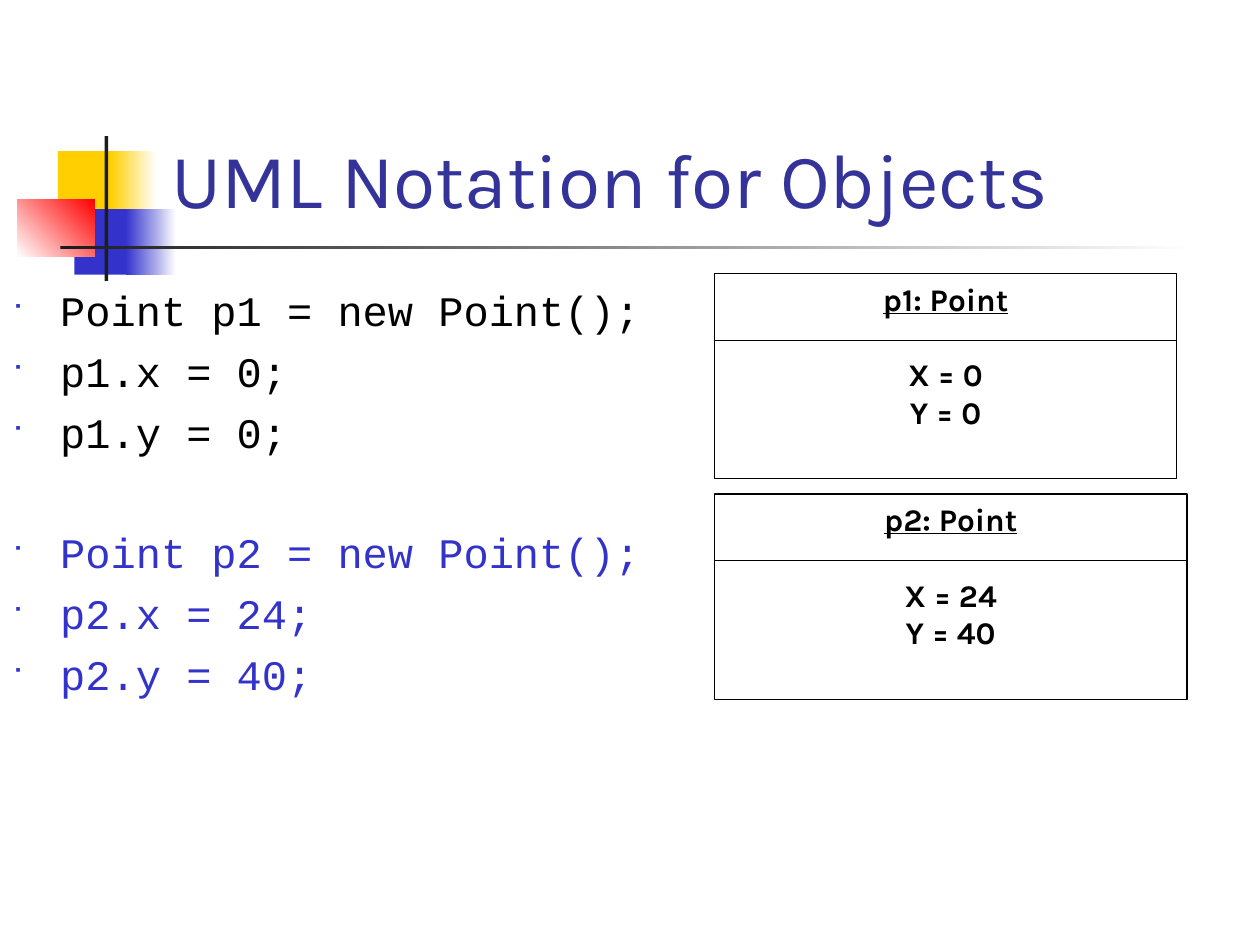
from lxml import etree
from pptx import Presentation
from pptx import util as u
from pptx.dml.color import RGBColor
from pptx.enum import shapes, text
from pptx.oxml import ns

COLUMNS, ROWS = 100, 75  # square grid cells over the whole slide
BLUE, BLACK, WHITE, DARK = "3333CC", "000000", "FFFFFF", "1C1C1C"
YELLOW, RED, TITLE_BLUE = "FFCF01", "FF0000", "333399"

deck = Presentation()
deck.slide_width, deck.slide_height = u.Inches(10), u.Inches(7.5)


def color(value):
    return RGBColor.from_string(value)


def cells(left, top, width, height):
    """Turn grid columns and rows into slide lengths."""
    column, row = deck.slide_width / COLUMNS, deck.slide_height / ROWS
    return [round(n) for n in (left * column, top * row, width * column, height * row)]


def apply(target, values):
    for name, value in values.items():
        setattr(target, name, value)


def write(para, words, font, para_format):
    """Put one formatted run in a paragraph."""
    apply(para, para_format)
    span = para.add_run()
    span.text = words
    font = dict(font)
    span.font.color.rgb = color(font.pop("color"))
    apply(span.font, font)


def paragraphs(frame, count):
    return [frame.paragraphs[0]] + [frame.add_paragraph() for _ in range(count - 1)]


def add_block(page, box, fill, angle=0):
    """Add a rectangle with one fill colour, or a pair of gradient colours."""
    block = page.shapes.add_shape(shapes.MSO_SHAPE.RECTANGLE, *cells(*box))
    block.shadow.inherit = False
    block.line.fill.background()
    if isinstance(fill, str):
        block.fill.solid()
        block.fill.fore_color.rgb = color(fill)
    else:
        block.fill.gradient()
        block.fill.gradient_angle = angle
        for stop, shade, position in zip(block.fill.gradient_stops, fill, (0, 1)):
            stop.color.rgb = color(shade)
            stop.position = position
    return block


def add_motif(page, box):
    """Coloured squares with a vertical bar and a fading rule."""
    left, top, width, height = box
    parts = [
        ((3.2, 1.2, 4.8, 5.2), YELLOW, 0),
        ((7.4, 1.2, 3.6, 5.2), (YELLOW, WHITE), 0),
        ((4.5, 5.8, 4.6, 5.2), BLUE, 0),
        ((8.6, 5.8, 4, 5.2), (BLUE, WHITE), 0),
        ((0, 5, 6.1, 4.6), (WHITE, RED), 45),
        ((6.9, 0, 0.3, height), DARK, 0),
        ((3.4, 8.7, width - 3.4, 0.3), (DARK, WHITE), 0),
    ]
    for (x, y, w, h), fill, angle in parts:
        add_block(page, (left + x, top + y, w, h), fill, angle)


def add_title(page, box, words):
    title = page.shapes.title
    apply(title, dict(zip(("left", "top", "width", "height"), cells(*box))))
    apply(title.text_frame, {"vertical_anchor": text.MSO_ANCHOR.BOTTOM, "word_wrap": True})
    write(title.text_frame.paragraphs[0], words,
          {"name": "Karla", "size": u.Pt(44), "color": TITLE_BLUE},
          {"alignment": text.PP_ALIGN.LEFT})


def add_bullet(para):
    """Give a paragraph a small square bullet and a hanging indent."""
    properties = para._p.get_or_add_pPr()
    indent = u.Inches(0.38)
    properties.set("marL", str(indent))
    properties.set("indent", str(-indent))
    bullet_color = etree.SubElement(properties, ns.qn("a:buClr"))
    etree.SubElement(bullet_color, ns.qn("a:srgbClr"), val=BLUE)
    etree.SubElement(properties, ns.qn("a:buSzPct"), val="60000")
    etree.SubElement(properties, ns.qn("a:buFont"), typeface="Wingdings")
    etree.SubElement(properties, ns.qn("a:buChar"), char="■")


def add_code(page, box, groups):
    """Bulleted code lines; each later group stands one line lower."""
    frame = page.shapes.add_textbox(*cells(*box)).text_frame
    frame.word_wrap = True
    lines = [(line, shade, number > 0 and row == 0)
             for number, (shade, group) in enumerate(groups)
             for row, line in enumerate(group)]
    for para, (line, shade, starts_group) in zip(paragraphs(frame, len(lines)), lines):
        write(para, line, {"name": "Courier New", "size": u.Pt(24), "color": shade},
              {"space_before": u.Pt(39.7 if starts_group else 6)})
        add_bullet(para)


def add_object(page, box, name, fields):
    """UML object: underlined name, divider and field values."""
    left, top, width, height = box
    card = add_block(page, box, WHITE)
    card.line.color.rgb = color(BLACK)
    card.line.width = u.Pt(0.75)
    apply(card.text_frame, {"vertical_anchor": text.MSO_ANCHOR.TOP, "word_wrap": True})
    for row, (para, words) in enumerate(
            zip(paragraphs(card.text_frame, 1 + len(fields)), [name, *fields])):
        write(para, words,
              {"name": "Karla", "size": u.Pt(18), "bold": True,
               "underline": row == 0, "color": BLACK},
              {"alignment": text.PP_ALIGN.CENTER,
               "space_before": u.Pt(21.6 if row == 1 else 0)})

    # Divider under the name
    x, y, w, _ = cells(left, top + 5.3, width, 0)
    divider = page.shapes.add_connector(shapes.MSO_CONNECTOR.STRAIGHT, x, y, x + w, y)
    divider.line.color.rgb = color(BLACK)
    divider.line.width = u.Pt(0.75)
    etree.SubElement(divider._element.spPr, ns.qn("a:effectLst"))


def main():
    page = deck.slides.add_slide(deck.slide_layouts[5])
    add_motif(page, (1.4, 10.8, 93.4, 11.5))
    add_title(page, (12.6, 2.3, 85.2, 16), "UML Notation for Objects")
    add_code(page, (0, 22.1, 100, 52.9), [
        (BLACK, ["Point p1 = new Point();", "p1.x = 0;", "p1.y = 0;"]),
        (BLUE, ["Point p2 = new Point();", "p2.x = 24;", "p2.y = 40;"]),
    ])
    add_object(page, (56.7, 21.7, 36.7, 16.3), "p1: Point", ["X = 0", "Y = 0"])
    add_object(page, (56.7, 39.2, 37.5, 16.3), "p2: Point", ["X = 24", "Y = 40"])
    deck.save("out.pptx")


if __name__ == "__main__":
    main()
